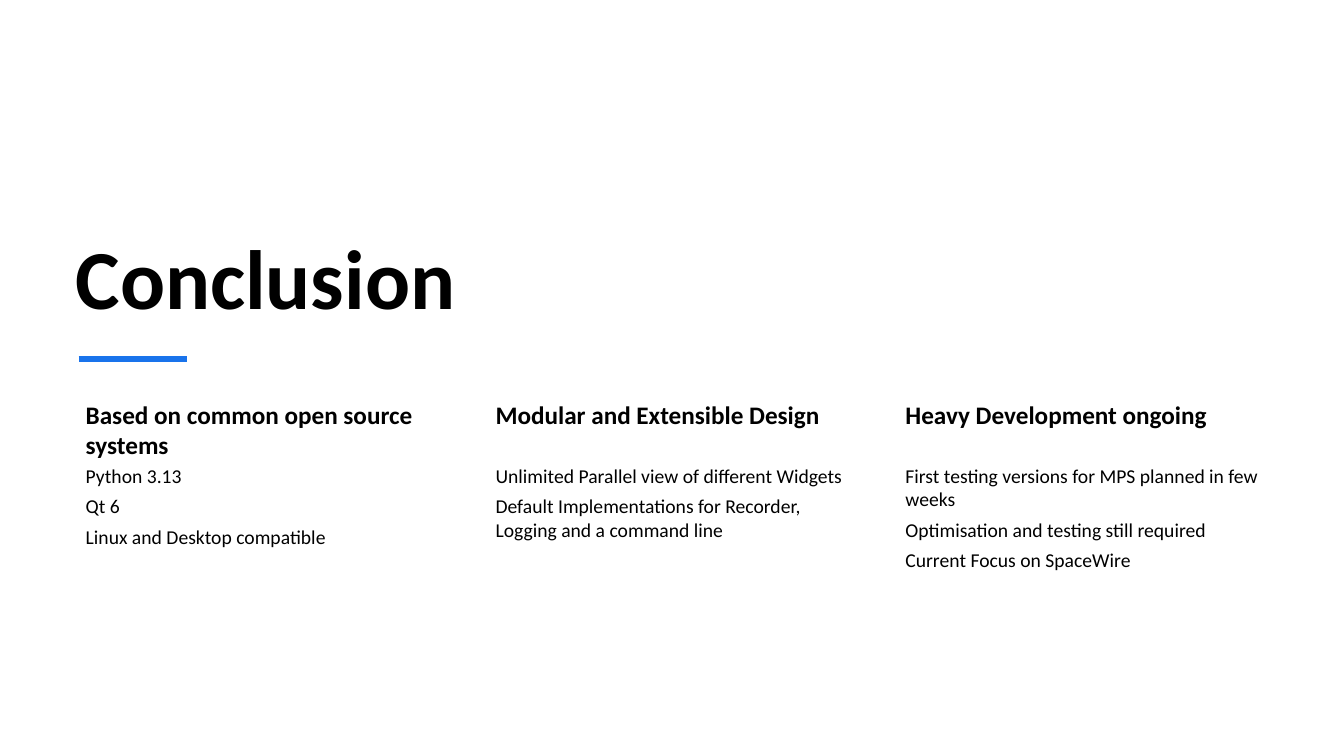
from lxml import etree
from pptx import Presentation
from pptx.dml.color import RGBColor
from pptx.enum.shapes import MSO_CONNECTOR
from pptx.enum.text import MSO_ANCHOR, MSO_AUTO_SIZE, PP_ALIGN
from pptx.oxml.ns import qn
from pptx.util import Inches, Pt

BLACK = RGBColor(0x00, 0x00, 0x00)
BLUE = RGBColor(0x19, 0x73, 0xEB)
WHITE = RGBColor(0xFF, 0xFF, 0xFF)
LEFT = PP_ALIGN.LEFT
TOP = MSO_ANCHOR.TOP
BOTTOM = MSO_ANCHOR.BOTTOM
FIXED = MSO_AUTO_SIZE.NONE
STRAIGHT = MSO_CONNECTOR.STRAIGHT

COLUMNS = [
    ("Based on common open source systems",
     ["Python 3.13", "Qt 6", "Linux and Desktop compatible"]),
    ("Modular and Extensible Design",
     ["Unlimited Parallel view of different Widgets",
      "Default Implementations for Recorder, Logging and a command line"]),
    ("Heavy Development ongoing",
     ["First testing versions for MPS planned in few weeks",
      "Optimisation and testing still required",
      "Current Focus on SpaceWire"]),
]
START = 0.7
PITCH = 8.13 / 2
WIDTH = 3.69


class Page:
    font = "Calibri"
    color = BLACK

    def __init__(self, deck):
        self.slide = deck.slides.add_slide(deck.slide_layouts[5])
        fill = self.slide.background.fill
        fill.solid()
        fill.fore_color.rgb = WHITE

    def label(self, shape, lines, size, bold, anchor, left, edge, after=0):
        frame = shape.text_frame
        frame.text = "\n".join(lines)
        frame.word_wrap = True
        frame.auto_size = FIXED
        frame.vertical_anchor = anchor
        frame.margin_left = Inches(left)
        frame.margin_top = frame.margin_right = frame.margin_bottom = Inches(edge)
        for para in frame.paragraphs:
            para.alignment = LEFT
            para.line_spacing = 1.0
            para.space_after = Pt(after)
            for run in para.runs:
                run.font.name = self.font
                run.font.size = Pt(size)
                run.font.bold = bold
                run.font.color.rgb = self.color

    def title(self, text, x, y, w, h):
        shape = self.slide.shapes.title
        shape.left, shape.top = Inches(x), Inches(y)
        shape.width, shape.height = Inches(w), Inches(h)
        self.label(shape, [text], 60, True, BOTTOM, 0.05, 0.02)

    def column(self, x, head, points):
        group = self.slide.shapes.add_group_shape()
        box = group.shapes.add_textbox(
            Inches(x), Inches(3.93), Inches(WIDTH), Inches(0.65))
        self.label(box, [head], 18, True, TOP, 0.15, 0.03, 6.3)
        box = group.shapes.add_textbox(
            Inches(x), Inches(4.58), Inches(WIDTH), Inches(2.07))
        self.label(box, points, 14, False, TOP, 0.15, 0.02, 4.9)

    def rule(self, x, y, end):
        line = self.slide.shapes.add_connector(
            STRAIGHT, Inches(x), Inches(y), Inches(end), Inches(y))
        line.line.color.rgb = BLUE
        line.line.width = Pt(4.5)
        etree.SubElement(line._element.spPr, qn("a:effectLst"))


def main():
    deck = Presentation()
    deck.slide_width, deck.slide_height = Inches(13.33), Inches(7.5)
    page = Page(deck)
    page.title("Conclusion", START, 1.72, 8.93, 1.54)
    for i, (head, points) in enumerate(COLUMNS):
        page.column(START + i * PITCH, head, points)
    page.rule(0.78, 3.56, 1.85)
    deck.save("out.pptx")


if __name__ == "__main__":
    main()
